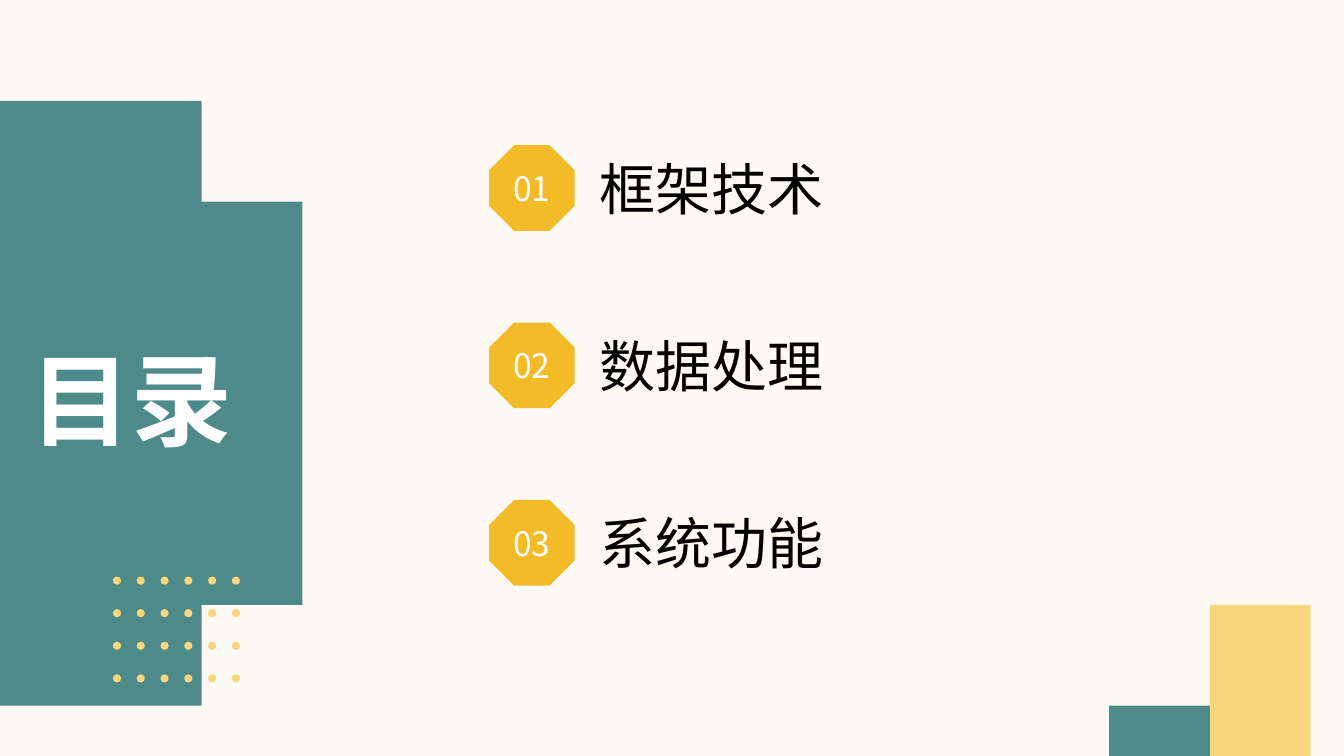
from math import cos, radians, sin

from pptx import Presentation
from pptx.dml.color import RGBColor
from pptx.enum.lang import MSO_LANGUAGE_ID
from pptx.enum.shapes import MSO_SHAPE
from pptx.enum.text import MSO_ANCHOR, MSO_AUTO_SIZE, PP_ALIGN
from pptx.util import Inches, Pt

COLORS = {
    "background": "FDFAF5",
    "teal": "4F8A8B",
    "sand": "F8D67E",
    "amber": "F3BB28",
    "white": "FFFFFF",
    "black": "000000",
}


def paint(shape, color):
    shape.shadow.inherit = False
    shape.fill.solid()
    shape.fill.fore_color.rgb = RGBColor.from_string(COLORS[color])
    shape.line.fill.background()


def write(shape, text, size, font_name, color, alignment, bold=False):
    frame = shape.text_frame
    frame.text = text
    frame.word_wrap = True
    paragraph = frame.paragraphs[0]
    paragraph.alignment = alignment
    font = paragraph.runs[0].font
    font.name = font_name
    font.size = Pt(size)
    font.bold = bold
    font.color.rgb = RGBColor.from_string(COLORS[color])
    font.language_id = MSO_LANGUAGE_ID.SIMPLIFIED_CHINESE


presentation = Presentation()
presentation.slide_width = Inches(13.33)
presentation.slide_height = Inches(7.5)
slide = presentation.slides.add_slide(presentation.slide_layouts[5])
slide.background.fill.solid()
slide.background.fill.fore_color.rgb = RGBColor.from_string(COLORS["background"])

large_disc = (0.16, 4.03, 3.13, -90, 90, [(0, 7.16), (0, 0.9)], "teal")
corner_arch = (12.64, 6.75, 0.74, 180, 339, [(13.33, 7.5), (11.9, 7.5)], "sand")
corner_dome = (11.96, 7.5, 0.47, 180, 360, [], "teal")

arc_steps = 90
for center_x, center_y, radius, start, end, corners, color in (large_disc, corner_arch, corner_dome):
    angles = [radians(start + (end - start) * step / arc_steps) for step in range(arc_steps + 1)]
    points = [(center_x + radius * cos(angle), center_y + radius * sin(angle)) for angle in angles]
    points += corners
    builder = slide.shapes.build_freeform(*points[0], scale=Inches(1))
    builder.add_line_segments(points[1:], close=True)
    paint(builder.convert_to_shape(), color)

dot_columns, dot_rows = 6, 4
for row in range(dot_rows):
    for column in range(dot_columns):
        left = 1.12 + 1.18 * column / (dot_columns - 1)
        top = 5.72 + 0.97 * row / (dot_rows - 1)
        dot = slide.shapes.add_shape(
            MSO_SHAPE.OVAL, Inches(left), Inches(top), Inches(0.08), Inches(0.08)
        )
        paint(dot, "sand")

title = slide.shapes.title
title.left, title.top = Inches(0.08), Inches(2.48)
title.width, title.height = Inches(2.22), Inches(2.94)
write(title, "目录", 72, "Arial", "white", PP_ALIGN.RIGHT, bold=True)
title_frame = title.text_frame
title_frame.auto_size = MSO_AUTO_SIZE.NONE
title_frame.vertical_anchor = MSO_ANCHOR.MIDDLE
title_frame.margin_left = title_frame.margin_right = 0
title_frame.margin_top = title_frame.margin_bottom = 0
slide.shapes.element.append(title.element)

agenda = [("框架技术", 4.45), ("数据处理", 4.53), ("系统功能", 7.09)]
for index, (topic, width) in enumerate(agenda):
    top = 1.44 + 1.76 * index
    group = slide.shapes.add_group_shape()
    label = group.shapes.add_textbox(Inches(5.85), Inches(top + 0.04), Inches(width), Inches(0.77))
    write(label, topic, 40, "Arial", "black", PP_ALIGN.LEFT)
    label.text_frame.auto_size = MSO_AUTO_SIZE.SHAPE_TO_FIT_TEXT

    badge = group.shapes.add_shape(
        MSO_SHAPE.OCTAGON, Inches(4.85), Inches(top), Inches(0.85), Inches(0.85)
    )
    paint(badge, "amber")
    write(badge, f"{index + 1:02d}", 24, "Noto Sans CJK SC", "white", PP_ALIGN.CENTER)
    badge.text_frame.vertical_anchor = MSO_ANCHOR.MIDDLE

presentation.save("out.pptx")
